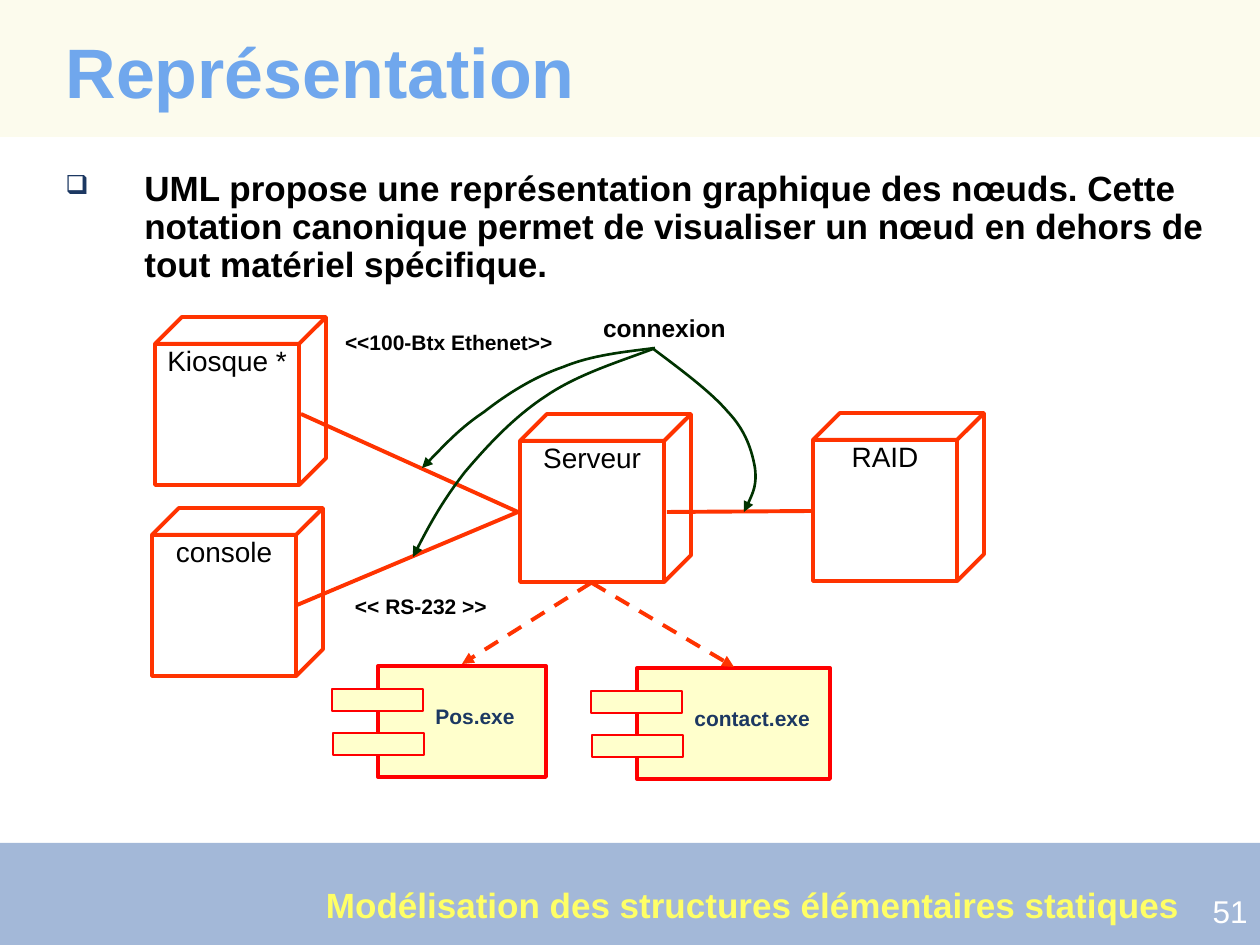
import dataclasses

import pptx
import pptx.dml.color
import pptx.enum.dml
import pptx.enum.shapes
import pptx.enum.text
import pptx.oxml
import pptx.oxml.ns
import pptx.util

EMU_PER_PX = 914400 / 126
SHAPES = pptx.enum.shapes.MSO_SHAPE
ALIGN = pptx.enum.text.PP_ALIGN
ANCHOR = pptx.enum.text.MSO_ANCHOR
qn = pptx.oxml.ns.qn


@dataclasses.dataclass(frozen=True)
class Theme:
    font: str = "Arial"
    title: str = "0066FF"
    ink: str = "000000"
    navy: str = "1C3862"
    white: str = "FFFFFF"
    footer_text: str = "FFFF66"
    header_band: str = "FAF8D8"
    footer_band: str = "3363A9"
    node: str = "FF3300"
    component_line: str = "FF0000"
    component_fill: str = "FFFFCC"
    callout: str = "003300"
    title_size: int = 40
    body_size: int = 20
    number_size: int = 18
    node_size: int = 16
    callout_size: int = 14
    label_size: int = 12
    thick: float = 2.25
    medium: float = 1.5
    thin: float = 1


def emu(*lengths):
    return [round(length * EMU_PER_PX) for length in lengths]


def rgb(color):
    return pptx.dml.color.RGBColor.from_string(color)


def add_xml(parent, tag, **attributes):
    element = parent.makeelement(qn(tag), attributes)
    parent.append(element)
    return element


class Slide:
    def __init__(self, deck, theme):
        self.theme = theme
        self.page = deck.slides.add_slide(deck.slide_layouts[5])
        self.shapes = self.page.shapes

    def set_text(self, shape, text, size, color, bold=False, align=ALIGN.LEFT):
        frame = shape.text_frame
        frame.word_wrap = True
        frame.text = text
        para = frame.paragraphs[0]
        para.alignment = align
        font = para.runs[0].font
        font.name = self.theme.font
        font.size = pptx.util.Pt(size)
        font.bold = bold
        font.color.rgb = rgb(color)
        return para

    def stroke(self, line, color, width):
        line.color.rgb = rgb(color)
        line.width = pptx.util.Pt(width)

    def title(self, text, box):
        shape = self.shapes.title
        shape.left, shape.top, shape.width, shape.height = emu(*box)
        shape.text_frame.vertical_anchor = ANCHOR.MIDDLE
        para = self.set_text(shape, text, self.theme.title_size, self.theme.title, True)
        para.line_spacing = 0.9

    def text(self, text, box, size, color, bold=True, align=ALIGN.LEFT, inset=True):
        shape = self.shapes.add_textbox(*emu(*box))
        if not inset:
            self.clear_margins(shape.text_frame)
        return self.set_text(shape, text, size, color, bold, align)

    def clear_margins(self, frame):
        frame.margin_left = frame.margin_right = 0
        frame.margin_top = frame.margin_bottom = 0

    def bullet(self, text, box):
        para = self.text(text, box, self.theme.body_size, self.theme.ink)
        para.line_spacing = 0.9
        properties = para._p.get_or_add_pPr()
        indent = emu(79)[0]
        properties.set("marL", str(indent))
        properties.set("indent", str(-indent))
        add_xml(add_xml(properties, "a:buClr"), "a:srgbClr", val=self.theme.navy)
        add_xml(properties, "a:buSzPct", val="75000")
        add_xml(properties, "a:buChar", char="❑")

    def rectangle(self, box, fill, line=None, width=1, alpha=None):
        shape = self.shapes.add_shape(SHAPES.RECTANGLE, *emu(*box))
        shape.shadow.inherit = False
        shape.fill.solid()
        shape.fill.fore_color.rgb = rgb(fill)
        if line:
            self.stroke(shape.line, line, width)
        else:
            shape.line.fill.background()
        if alpha:
            color = shape._element.spPr.find(".//" + qn("a:srgbClr"))
            add_xml(color, "a:alpha", val=str(alpha * 1000))

    def node(self, name, left, top):
        shape = self.shapes.add_shape(SHAPES.CUBE, *emu(left, top, 171, 168))
        shape.adjustments[0] = 0.16
        shape.shadow.inherit = False
        shape.fill.background()
        self.stroke(shape.line, self.theme.node, self.theme.thick)
        self.clear_margins(shape.text_frame)
        shape.text_frame.vertical_anchor = ANCHOR.TOP
        self.set_text(shape, name, self.theme.node_size, self.theme.ink, align=ALIGN.CENTER)

    def link(self, start, end, dependency=False):
        connector = self.shapes.add_connector(
            pptx.enum.shapes.MSO_CONNECTOR.STRAIGHT, *emu(*start, *end))
        self.stroke(connector.line, self.theme.node, self.theme.thick)
        if dependency:
            connector.line.dash_style = pptx.enum.dml.MSO_LINE.DASH
            add_xml(connector.line._get_or_add_ln(), "a:tailEnd", type="triangle")
        add_xml(connector._element.spPr, "a:effectLst")

    def curved_arrow(self, points):
        builder = self.shapes.build_freeform(*points[0], scale=EMU_PER_PX)
        builder.add_line_segments(points[1:], close=False)
        shape = builder.convert_to_shape()
        shape.shadow.inherit = False
        shape.fill.background()
        self.stroke(shape.line, self.theme.callout, self.theme.medium)
        add_xml(shape.line._get_or_add_ln(), "a:headEnd", type="triangle")
        outline = shape._element.spPr.find(".//" + qn("a:path"))
        segments = outline.findall(qn("a:lnTo"))
        for first in range(0, len(segments), 3):
            curve = add_xml(outline, "a:cubicBezTo")
            for segment in segments[first:first + 3]:
                curve.append(segment[0])
                outline.remove(segment)

    def component(self, name, left, top, width, label_width):
        theme = self.theme
        fill, line = theme.component_fill, theme.component_line
        self.rectangle((left, top, width, 111), fill, line, theme.thick)
        for dx, dy in ((-46, 23), (-45, 67)):
            self.rectangle((left + dx, top + dy, 91, 22), fill, line, theme.thin)
        self.text(name, (left + 45, top + 31, label_width, 38), theme.label_size, theme.navy)


def main():
    theme = Theme()
    deck = pptx.Presentation()
    deck.slide_width, deck.slide_height = emu(1260, 945)
    slide = Slide(deck, theme)

    slide.rectangle((0, 0, 1260, 137), theme.header_band, alpha=45)
    slide.rectangle((0, 843, 1260, 102), theme.footer_band, alpha=45)
    slide.text("51", (1137, 886, 123, 50), theme.number_size, theme.white, False, ALIGN.RIGHT)
    slide.title("Représentation", (53, 32, 1181, 88))
    slide.bullet("UML propose une représentation graphique des nœuds. Cette notation "
                 "canonique permet de visualiser un nœud en dehors de tout matériel "
                 "spécifique.", (53, 165, 1182, 126))

    for name, left, top in (("Kiosque *", 155, 317), ("console", 152, 508),
                            ("Serveur", 520, 414), ("RAID", 813, 413)):
        slide.node(name, left, top)
    for start, end in (((301, 414), (518, 512)), ((297, 605), (518, 512)),
                       ((667, 512), (811, 511))):
        slide.link(start, end)

    for text, box, size in (
            ("<<100-Btx Ethenet>>", (345, 330, 220, 25), theme.label_size),
            ("<< RS-232 >>", (355, 594, 145, 25), theme.label_size),
            ("connexion", (603, 313, 148, 29), theme.callout_size)):
        slide.text(text, box, size, theme.ink, inset=False)

    for points in (
            [(413, 557), (428, 527), (444, 499), (465, 472), (488, 445),
             (514, 417), (546, 396), (577, 375), (615, 363), (653, 349)],
            [(422, 468), (441, 449), (460, 428), (484, 412), (507, 394),
             (534, 377), (563, 367), (592, 355), (624, 352), (655, 348)],
            [(744, 512), (751, 498), (757, 485), (755, 468), (752, 451),
             (746, 431), (728, 412), (711, 392), (680, 369), (652, 348)]):
        slide.curved_arrow(points)

    slide.component("Pos.exe", 378, 666, 168, 111)
    slide.component("contact.exe", 637, 668, 193, 156)
    slide.link((592, 583), (734, 667), dependency=True)
    slide.link((591, 583), (462, 664), dependency=True)
    slide.text("Modélisation des structures élémentaires statiques",
               (326, 883, 870, 42), theme.body_size, theme.footer_text, inset=False)

    deck.save("out.pptx")


if __name__ == "__main__":
    main()
